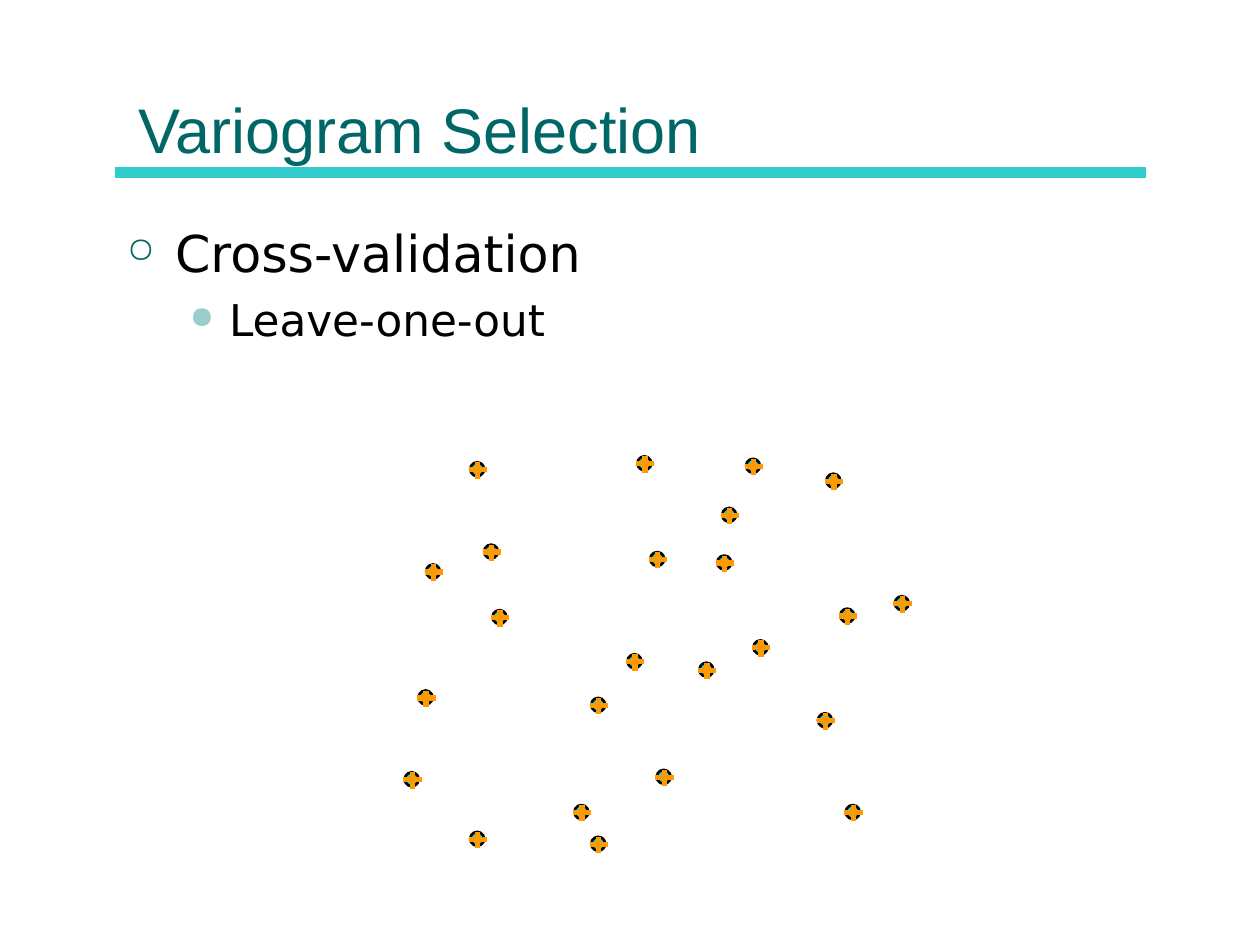
import pptx
import pptx.dml.color
import pptx.enum.shapes
import pptx.enum.text
import pptx.oxml.ns
import pptx.util
from lxml import etree

Cm = pptx.util.Cm
Pt = pptx.util.Pt

COLORS = {
    "title": "006666",
    "text": "000000",
    "teal": "33CCCC",
    "pale": "99CCCC",
    "orange": "FF9900",
    "outline": "000000",
}

BULLETS = [
    ("Cross-validation", 0, 29, 0, 0.97, 0.97, "○", "title"),
    ("Leave-one-out", 1, 25, 6.2, 2.06, 0.79, "●", "pale"),
]

SAMPLES = [
    (0.31, 6.72), (1.63, 7.92), (4.07, 8.02), (9.2, 7.38),
    (3.73, 7.38), (5.39, 6.67), (8.64, 5.53), (10.19, 3.17),
    (9.09, 3.42), (7.34, 4.06), (6.25, 4.51), (4.8, 4.34),
    (4.07, 5.22), (0.59, 5.07), (0.74, 2.53), (2.08, 3.45),
    (1.91, 2.13), (1.63, 0.47), (5, 0.35), (5.26, 2.28),
    (6.61, 2.35), (6.71, 1.39), (7.19, 0.4), (8.81, 0.7),
]


def rgb(name):
    return pptx.dml.color.RGBColor.from_string(COLORS[name])


def add_child(parent, tag, **attributes):
    return etree.SubElement(parent, pptx.oxml.ns.qn(tag), **attributes)


def add_line(shapes, start, end, color, width):
    line = shapes.add_connector(
        pptx.enum.shapes.MSO_CONNECTOR.STRAIGHT,
        Cm(start[0]), Cm(start[1]), Cm(end[0]), Cm(end[1]),
    )
    line.line.color.rgb = rgb(color)
    line.line.width = Pt(width)
    add_child(line._element.spPr, "a:effectLst")


def set_font(paragraph, name, size, color):
    paragraph.font.name = name
    paragraph.font.size = Pt(size)
    paragraph.font.color.rgb = rgb(color)


def add_header(slide, left, top, width, height):
    add_line(slide.shapes, (left, top + height), (left + width, top + height), "teal", 6)
    title = slide.shapes.title
    title.left, title.top = Cm(left + 0.23), Cm(top)
    title.width, title.height = Cm(width - 0.48), Cm(height)
    frame = title.text_frame
    frame.text = "Variogram Selection"
    frame.auto_size = pptx.enum.text.MSO_AUTO_SIZE.NONE
    frame.vertical_anchor = pptx.enum.text.MSO_ANCHOR.BOTTOM
    paragraph = frame.paragraphs[0]
    paragraph.alignment = pptx.enum.text.PP_ALIGN.LEFT
    set_font(paragraph, "Arial", 36, "title")


def add_bullets(slide, left, top, width, height):
    frame = slide.shapes.add_textbox(Cm(left), Cm(top), Cm(width), Cm(height)).text_frame
    frame.word_wrap = True
    for index, (text, level, size, before, margin, hanging, bullet, color) in enumerate(BULLETS):
        paragraph = frame.add_paragraph() if index else frame.paragraphs[0]
        paragraph.text = text
        paragraph.level = level
        paragraph.space_before = Pt(before)
        properties = paragraph._p.get_or_add_pPr()
        properties.set("marL", str(Cm(margin)))
        properties.set("indent", str(-Cm(hanging)))
        bullet_color = add_child(properties, "a:buClr")
        add_child(bullet_color, "a:srgbClr", val=COLORS[color])
        add_child(properties, "a:buSzPct", val="70000")
        add_child(properties, "a:buChar", char=bullet)
        set_font(paragraph, "DejaVu Sans", size, "text")


def add_sample(slide, x, y):
    dot = slide.shapes.add_shape(
        pptx.enum.shapes.MSO_SHAPE.OVAL, Cm(x - 0.15), Cm(y - 0.15), Cm(0.28), Cm(0.28)
    )
    dot.shadow.inherit = False
    dot.fill.solid()
    dot.fill.fore_color.rgb = rgb("teal")
    dot.line.color.rgb = rgb("outline")
    dot.line.width = Pt(1.5)
    cross = slide.shapes.add_group_shape()
    add_line(cross.shapes, (x, y - 0.15), (x, y + 0.18), "orange", 3)
    add_line(cross.shapes, (x - 0.18, y), (x + 0.19, y), "orange", 3)


def add_sample_field(slide, left, top):
    for x, y in SAMPLES:
        add_sample(slide, left + x, top + y)


def main():
    presentation = pptx.Presentation()
    presentation.slide_width, presentation.slide_height = Cm(25.4), Cm(19.05)
    slide = presentation.slides.add_slide(presentation.slide_layouts[5])
    add_header(slide, 2.31, 0.3, 20.8, 3.18)
    add_bullets(slide, 2.31, 4.34, 20.8, 11.43)
    add_sample_field(slide, 8, 9)
    presentation.save("out.pptx")


if __name__ == "__main__":
    main()
